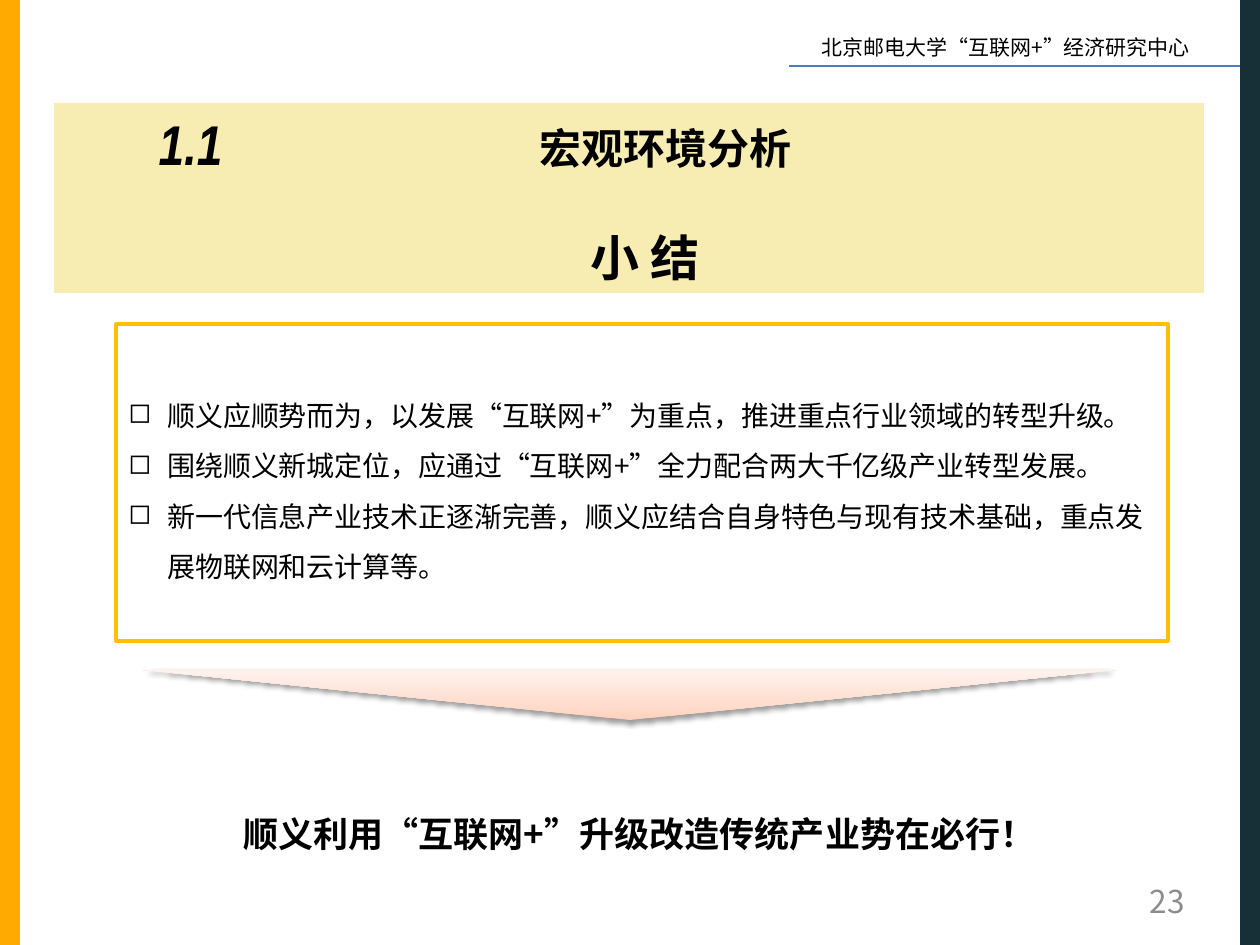
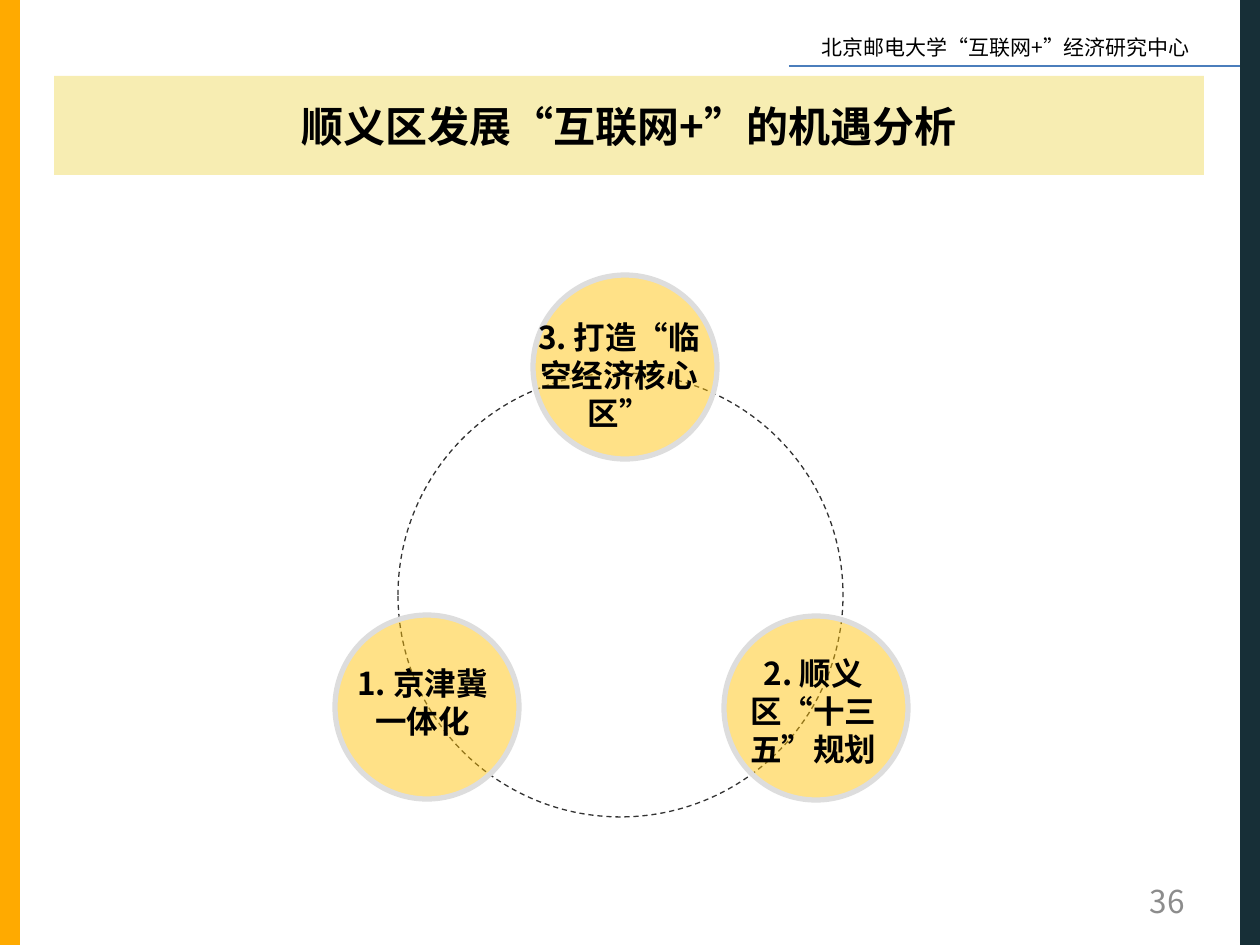
"""Build two summary slides on the regional "互联网+" study."""
import pptx
import pptx.dml.color
import pptx.enum.dml
import pptx.enum.shapes
import pptx.enum.text
import pptx.oxml
import pptx.oxml.ns
import pptx.util

COLOURS = {
    "amber": "FFAA00", "navy": "172F37", "rule": "4B7EBC", "band": "E9CD23",
    "ink": "000000", "page": "8C8C8C", "white": "FFFFFF", "gold": "FFC000",
    "ring": "333333", "rim": "DDDDDD",
}
FONT = "Noto Sans CJK SC"
PX = pptx.util.Inches(1) / 126
BAND_LEFT, BAND_WIDTH = 54, 1150
CIRCLE = 184

SIDE_BARS = [((0, 0, 20, 945), "amber"), ((1240, 0, 20, 945), "navy")]
CENTRE_NAME = "北京邮电大学“互联网+”经济研究中心"
CENTRE_BOX = (809, 28, 407, 38)
CENTRE_RULE = (789, 66, 1240, 66)
PAGE_BOX = (903, 876, 294, 50)

SUMMARY = {
    "title": "小 结", "page": "23", "band": (103, 190),
    "number": ("1.1", (105, 116, 171, 67)),
    "section": ("宏观环境分析", (317, 116, 697, 63)),
    "points": [
        "顺义应顺势而为，以发展“互联网+”为重点，推进重点行业领域的转型升级。",
        "围绕顺义新城定位，应通过“互联网+”全力配合两大千亿级产业转型发展。",
        "新一代信息产业技术正逐渐完善，顺义应结合自身特色与现有技术基础，重点发展物联网和云计算等。",
    ],
    "points_box": (116, 324, 1052, 317),
    "funnel": [(143, 670), (630, 720), (1116, 670)],
    "funnel_stops": [(0, "FFD2BD"), (35, "FFDED0"), (100, "FFF2ED")],
    "conclusion": ("顺义利用“互联网+”升级改造传统产业势在必行！", (84, 806, 1111, 55)),
}
OPPORTUNITIES = {
    "title": "顺义区发展“互联网+”的机遇分析", "page": "36", "band": (76, 99),
    "ring": (398, 373, 445, 444),
    "circles": [(335, 615), (533, 275), (724, 616)],
    "labels": [
        ("3. 打造“临空经济核心区”", (520, 312, 198, 127)),
        ("2. 顺义区“十三五”规划", (719, 648, 189, 127)),
        ("1. 京津冀一体化", (333, 658, 179, 89)),
    ],
}

ALIGN = pptx.enum.text.PP_ALIGN
ANCHOR = pptx.enum.text.MSO_ANCHOR
SHAPE = pptx.enum.shapes.MSO_SHAPE


def emu(lengths):
    """Turn px lengths into EMU."""
    return [round(length * PX) for length in lengths]


def rgb(name):
    """Return the named colour."""
    return pptx.dml.color.RGBColor.from_string(COLOURS[name])


def assign(target, values):
    """Set every value of a dict as an attribute."""
    for name, value in values.items():
        setattr(target, name, value)


def xml(tag, attributes="", inner=""):
    """Return a new drawing element."""
    namespace = pptx.oxml.ns.nsdecls("a")
    return pptx.oxml.parse_xml(f"<a:{tag} {namespace} {attributes}>{inner}</a:{tag}>")


def paint(shape, colour, alpha=None):
    """Fill a shape, with an optional opacity in percent."""
    shape.fill.solid()
    shape.fill.fore_color.rgb = rgb(colour)
    if alpha:
        solid = shape.element.spPr.find(pptx.oxml.ns.qn("a:solidFill"))
        solid[0].append(xml("alpha", f'val="{alpha * 1000}"'))


def write(shape, texts, size, colour="ink", font=FONT, align=ALIGN.CENTER,
          anchor=ANCHOR.TOP, spacing=None, hanging=0, **style):
    """Write paragraphs with one format into a shape."""
    frame = shape.text_frame
    assign(frame, {"word_wrap": True, "auto_size": pptx.enum.text.MSO_AUTO_SIZE.NONE,
                   "vertical_anchor": anchor})
    for index, text in enumerate(texts):
        paragraph = frame.add_paragraph() if index else frame.paragraphs[0]
        if hanging:
            properties = paragraph._p.get_or_add_pPr()
            indent, = emu([hanging])
            properties.set("marL", str(indent))
            properties.set("indent", str(-indent))
            properties.append(xml("buChar", 'char="◻"'))
        assign(paragraph, {"alignment": align, "line_spacing": spacing})
        run = paragraph.add_run()
        run.text = text
        assign(run.font, {"size": pptx.util.Pt(size), "name": font, **style})
        run.font.color.rgb = rgb(colour)
        run._r.get_or_add_rPr().append(xml("ea", f'typeface="{FONT}"'))


def add_text(shapes, text, box, size, **style):
    """Add a text box with one paragraph."""
    label = shapes.add_textbox(*emu(box))
    write(label, [text], size, **style)
    return label


def add_figure(shapes, kind, box, fill=None, alpha=None, line=None, width=0):
    """Add a preset shape with its fill and outline."""
    figure = shapes.add_shape(kind, *emu(box))
    figure.shadow.inherit = False
    if fill:
        paint(figure, fill, alpha)
    else:
        figure.fill.background()
    if line:
        figure.line.color.rgb = rgb(line)
        figure.line.width = pptx.util.Pt(width)
    else:
        figure.line.fill.background()
    return figure


def move_frame_to_layout(slide, layout):
    """Draw the side bars and header once and hand them to the layout."""
    shapes = slide.shapes
    parts = [add_figure(shapes, SHAPE.RECTANGLE, box, colour) for box, colour in SIDE_BARS]
    parts.append(add_text(shapes, CENTRE_NAME, CENTRE_BOX, 12, align=ALIGN.LEFT))
    rule = shapes.add_connector(pptx.enum.shapes.MSO_CONNECTOR.STRAIGHT, *emu(CENTRE_RULE))
    rule.line.color.rgb = rgb("rule")
    rule.line.width = pptx.util.Pt(0.75)
    rule.element.spPr.append(xml("effectLst"))
    for part in parts + [rule]:
        layout.shapes.element.append(part.element)


def start_slide(deck, content, size, **style):
    """Add a slide with its title band and page number."""
    slide = deck.slides.add_slide(deck.slide_layouts[5])
    top, height = content["band"]
    place = emu((BAND_LEFT, top, BAND_WIDTH, height))
    title = slide.shapes.title
    assign(title, dict(zip(("left", "top", "width", "height"), place)))
    paint(title, "band", 35)
    write(title, [content["title"]], size, bold=True, **style)
    add_text(slide.shapes, content["page"], PAGE_BOX, 18, colour="page",
             align=ALIGN.RIGHT, anchor=ANCHOR.MIDDLE)
    return slide


def add_funnel(shapes, corners, stops):
    """Add the shaded triangle that points to the conclusion."""
    builder = shapes.build_freeform(*corners[0], scale=PX)
    builder.add_line_segments(corners[1:], close=True)
    funnel = builder.convert_to_shape()
    funnel.line.fill.background()
    funnel.fill.gradient()
    funnel.fill.gradient_angle = 90
    properties = funnel.element.spPr
    ramp = properties.find(".//" + pptx.oxml.ns.qn("a:gsLst"))
    for stop in list(ramp):
        ramp.remove(stop)
    for position, colour in stops:
        ramp.append(xml("gs", f'pos="{position * 1000}"', f'<a:srgbClr val="{colour}"/>'))
    funnel.shadow.inherit = False
    blur, distance = pptx.util.Pt(3.1), pptx.util.Pt(1.6)
    effects = properties.find(pptx.oxml.ns.qn("a:effectLst"))
    effects.append(xml(
        "outerShdw", f'blurRad="{blur}" dist="{distance}" dir="5400000" rotWithShape="0"',
        f'<a:srgbClr val="{COLOURS["ink"]}"><a:alpha val="38000"/></a:srgbClr>'))


def build_summary(deck):
    """Build the summary of the environment analysis."""
    slide = start_slide(deck, SUMMARY, 28)
    move_frame_to_layout(slide, deck.slide_layouts[5])
    left, top, right, bottom = emu((44, 124, 12, 0))
    assign(slide.shapes.title.text_frame, {
        "margin_left": left, "margin_top": top, "margin_right": right, "margin_bottom": bottom})
    shapes = slide.shapes
    add_text(shapes, *SUMMARY["number"], 32, font="Arial Narrow", spacing=0.8,
             bold=True, italic=True)
    add_text(shapes, *SUMMARY["section"], 24, font="Calibri", bold=True)
    points = add_figure(shapes, SHAPE.RECTANGLE, SUMMARY["points_box"], "white",
                        line="gold", width=2)
    write(points, SUMMARY["points"], 16, align=ALIGN.LEFT, anchor=ANCHOR.MIDDLE,
          spacing=1.5, hanging=39)
    add_funnel(shapes, SUMMARY["funnel"], SUMMARY["funnel_stops"])
    add_text(shapes, *SUMMARY["conclusion"], 20, bold=True)


def build_opportunities(deck):
    """Build the ring of three opportunities."""
    slide = start_slide(deck, OPPORTUNITIES, 24, anchor=ANCHOR.MIDDLE)
    cycle = slide.shapes.add_group_shape().shapes
    ring = add_figure(cycle, SHAPE.OVAL, OPPORTUNITIES["ring"], line="ring", width=0.75)
    ring.line.dash_style = pptx.enum.dml.MSO_LINE.DASH
    for corner in OPPORTUNITIES["circles"]:
        add_figure(cycle, SHAPE.OVAL, (*corner, CIRCLE, CIRCLE), "gold", 47, "rim", 3)
    for text, box in OPPORTUNITIES["labels"]:
        add_text(cycle, text, box, 18, bold=True)


def main():
    """Build and save the deck."""
    deck = pptx.Presentation()
    deck.slide_width, deck.slide_height = emu((1260, 945))
    build_summary(deck)
    build_opportunities(deck)
    deck.save("out.pptx")


if __name__ == "__main__":
    main()
